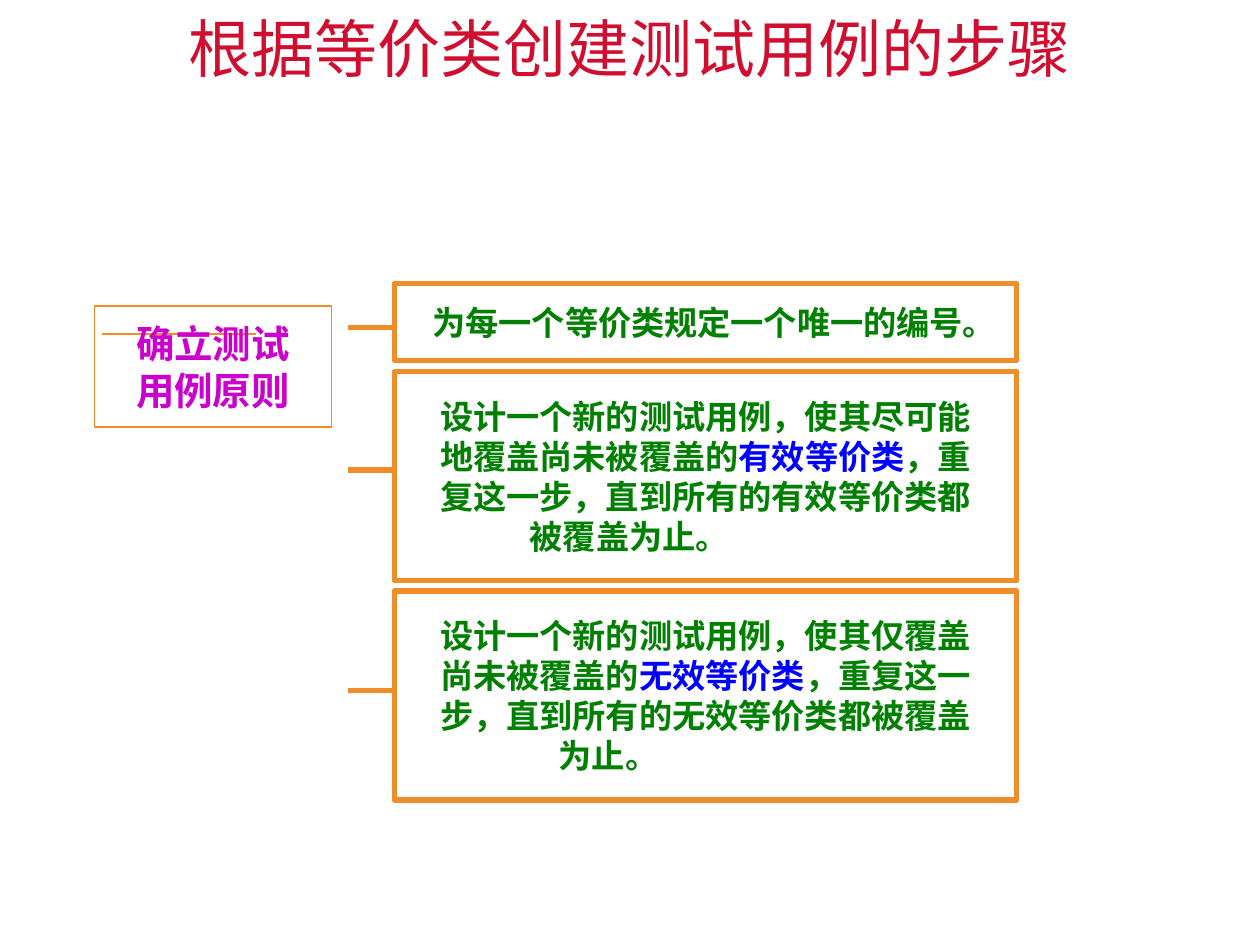
"""Slide listing the steps for creating test cases from equivalence classes."""
import pptx
import pptx.dml.color
import pptx.enum.shapes
import pptx.enum.text
import pptx.oxml
import pptx.util
from pptx.util import Inches

RED = pptx.dml.color.RGBColor(0xCF, 0x0E, 0x30)
ORANGE = pptx.dml.color.RGBColor(0xEF, 0x8D, 0x2B)
PURPLE = pptx.dml.color.RGBColor(0xCC, 0x00, 0xCC)
GREEN = pptx.dml.color.RGBColor(0x00, 0x80, 0x00)
BLUE = pptx.dml.color.RGBColor(0x00, 0x00, 0xFF)

CJK = "Noto Sans CJK SC"
TITLE = "根据等价类创建测试用例的步骤"
PRINCIPLE = [[TEXT] for TEXT in ("确立测试", "用例原则")]
STEPS = [
    {"top": 2.25, "height": 0.61, "stub": 2.6, "indent": ("marL", 0.14),
     "lines": [["为每一个等价类规定一个唯一的编号。"]]},
    {"top": 2.95, "height": 1.66, "stub": 3.73, "indent": ("marR", 1.21),
     "lines": [["设计一个新的测试用例，使其尽可能"],
               ["地覆盖尚未被覆盖的", "有效等价类", "，重"],
               ["复这一步，直到所有的有效等价类都"],
               ["被覆盖为止。"]]},
    {"top": 4.69, "height": 1.66, "stub": 5.48, "indent": ("marR", 1.54),
     "lines": [["设计一个新的测试用例，使其仅覆盖"],
               ["尚未被覆盖的", "无效等价类", "，重复这一"],
               ["步，直到所有的无效等价类都被覆盖"],
               ["为止。"]]},
]
STEP_LEFT, STEP_WIDTH, STUB_LEFT = 3.13, 4.94, 2.76
TITLE_FORMAT = {"size": pptx.util.Pt(36), "name": "Times New Roman", "bold": False}
PRINCIPLE_FORMAT = {"size": pptx.util.Pt(22), "name": "Times New Roman", "bold": True}
STEP_FORMAT = {"size": pptx.util.Pt(19), "name": CJK, "bold": True}


def write(box, lines, font_format, color):
    """Fill a box with centred lines; the second piece of a line is blue."""
    frame = box.text_frame
    frame.word_wrap = True
    frame.vertical_anchor = pptx.enum.text.MSO_ANCHOR.MIDDLE
    for index, pieces in enumerate(lines):
        paragraph = frame.add_paragraph() if index else frame.paragraphs[0]
        paragraph.alignment = pptx.enum.text.PP_ALIGN.CENTER
        for position, piece in enumerate(pieces):
            run = paragraph.add_run()
            run.text = piece
            for key, value in font_format.items():
                setattr(run.font, key, value)
            run.font.color.rgb = BLUE if position == 1 else color
            east_asian = pptx.oxml.parse_xml(
                '<a:ea xmlns:a="http://schemas.openxmlformats.org/drawingml/2006/main"'
                f' typeface="{CJK}"/>')
            run.font._element.find(pptx.oxml.ns.qn("a:latin")).addnext(east_asian)


def outline(shape, width):
    """Give a shape or connector its orange line."""
    shape.line.color.rgb = ORANGE
    shape.line.width = pptx.util.Pt(width)


def add_box(slide, kind, place, line_width):
    """Add an unfilled, outlined shape."""
    box = slide.shapes.add_shape(kind, *map(Inches, place))
    box.shadow.inherit = False
    box.fill.background()
    outline(box, line_width)
    return box


def main():
    """Build and save the slide."""
    deck = pptx.Presentation()
    deck.slide_width, deck.slide_height = Inches(10), Inches(7.5)
    slide = deck.slides.add_slide(deck.slide_layouts[6])
    shapes = pptx.enum.shapes.MSO_SHAPE

    title = slide.shapes.add_textbox(*map(Inches, (0.75, 0.25, 8.5, 0.83)))
    write(title, [[TITLE]], TITLE_FORMAT, RED)
    title.text_frame.margin_bottom = Inches(0.62)

    principle = add_box(slide, shapes.LINE_CALLOUT_1, (0.75, 2.43, 1.88, 0.96), 0.75)
    for index, value in enumerate((0.23, 0.68, 0.23, 0.03)):
        principle.adjustments[index] = value
    write(principle, PRINCIPLE, PRINCIPLE_FORMAT, PURPLE)

    for step in STEPS:
        place = (STEP_LEFT, step["top"], STEP_WIDTH, step["height"])
        box = add_box(slide, shapes.RECTANGLE, place, 3)
        write(box, step["lines"], STEP_FORMAT, GREEN)
        side, indent = step["indent"]
        last_line = box.text_frame.paragraphs[-1]
        last_line._p.get_or_add_pPr().set(side, str(Inches(indent)))
        stub = slide.shapes.add_connector(
            pptx.enum.shapes.MSO_CONNECTOR.STRAIGHT,
            *map(Inches, (STUB_LEFT, step["stub"], STEP_LEFT, step["stub"])))
        outline(stub, 3)
        stub._element.spPr.append(pptx.oxml.parse_xml(
            '<a:effectLst xmlns:a="http://schemas.openxmlformats.org/drawingml/2006/main"/>'))

    deck.save("out.pptx")


if __name__ == "__main__":
    main()
